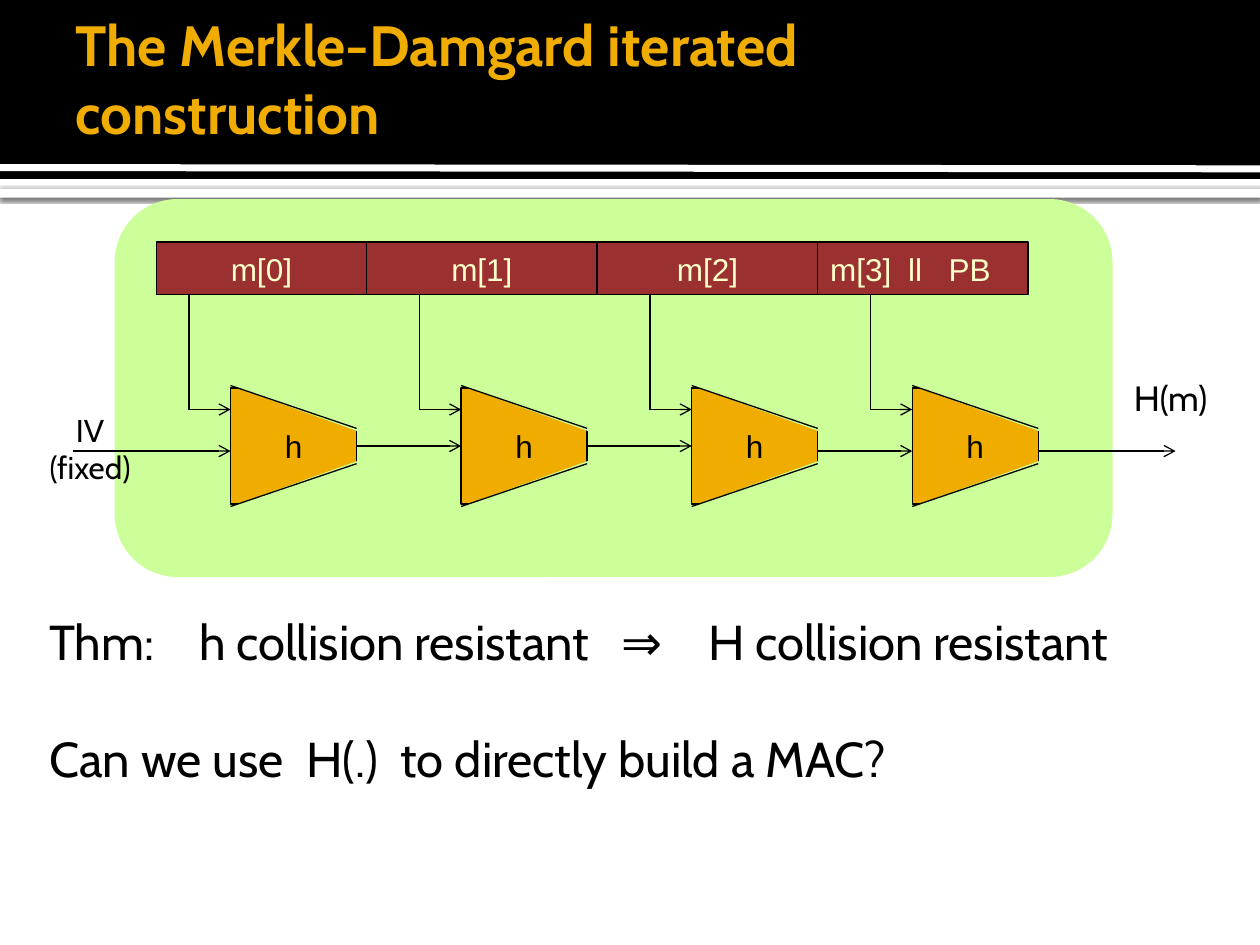
import pptx
import pptx.dml.color
import pptx.enum.shapes
import pptx.enum.text
import pptx.oxml
import pptx.oxml.ns
import pptx.util

Inches = pptx.util.Inches
Pt = pptx.util.Pt
RGBColor = pptx.dml.color.RGBColor
SHAPE = pptx.enum.shapes.MSO_SHAPE
ANCHOR = pptx.enum.text.MSO_ANCHOR
ALIGN = pptx.enum.text.PP_ALIGN
qn = pptx.oxml.ns.qn

BLACK = RGBColor(0x00, 0x00, 0x00)
WHITE = RGBColor(0xFF, 0xFF, 0xFF)
GOLD = RGBColor(0xF0, 0xAD, 0x00)
GREEN = RGBColor(0xCC, 0xFF, 0x99)
RED = RGBColor(0x9A, 0x31, 0x30)
CREAM = RGBColor(0xFF, 0xFF, 0xCC)
RIGHT, LEFT = 3, 1


def write_text(tf, text, size=18, font="Cabin", color=BLACK, bold=False,
               align=ALIGN.LEFT, anchor=ANCHOR.TOP, wrap=False,
               insets=(0.1, 0.05, 0.1, 0.05), gap=0, tabs=()):
    tf.word_wrap = wrap
    tf.vertical_anchor = anchor
    (tf.margin_left, tf.margin_top,
     tf.margin_right, tf.margin_bottom) = [Inches(v) for v in insets]
    for i, line in enumerate(text.split("\n")):
        p = tf.add_paragraph() if i else tf.paragraphs[0]
        p.alignment = align
        if i and gap:
            p.space_before = Pt(gap)
        if i < len(tabs):
            pPr = p._p.get_or_add_pPr()
            stops = pptx.oxml.parse_xml(
                '<a:tabLst xmlns:a="http://schemas.openxmlformats.org/drawingml/2006/main"/>')
            for pos in tabs[i]:
                stop = stops.makeelement(qn("a:tab"), {"pos": str(Inches(pos)), "algn": "l"})
                stops.append(stop)
            pPr.append(stops)
        r = p.add_run()
        r.text = line
        r.font.size = Pt(size)
        r.font.name = font
        r.font.bold = bold
        r.font.color.rgb = color


class Diagram:
    line_color = BLACK
    line_width = 0.75

    def __init__(self, slide):
        self.s = slide

    def shape(self, kind, x, y, w, h, fill, outline=False):
        sp = self.s.shapes.add_shape(kind, Inches(x), Inches(y), Inches(w), Inches(h))
        sp.shadow.inherit = False
        sp.fill.solid()
        sp.fill.fore_color.rgb = fill
        if outline:
            sp.line.color.rgb = self.line_color
            sp.line.width = Pt(self.line_width)
        else:
            sp.line.fill.background()
        return sp

    def box(self, x, y, w, h, fill, text, **fmt):
        sp = self.shape(SHAPE.RECTANGLE, x, y, w, h, fill, outline=True)
        style = dict(font="Arial", align=ALIGN.CENTER, anchor=ANCHOR.MIDDLE)
        write_text(sp.text_frame, text, **{**style, **fmt})
        return sp

    def text(self, x, y, w, h, text, **fmt):
        sp = self.s.shapes.add_textbox(Inches(x), Inches(y), Inches(w), Inches(h))
        write_text(sp.text_frame, text, **fmt)

    def line(self, x1, y1, x2, y2, arrow=False, color=None, width=None):
        cx = self.s.shapes.add_connector(pptx.enum.shapes.MSO_CONNECTOR.STRAIGHT,
                                         Inches(x1), Inches(y1), Inches(x2), Inches(y2))
        cx.line.color.rgb = color or self.line_color
        cx.line.width = Pt(width or self.line_width)
        spPr = cx._element.spPr
        if arrow:
            ln = spPr.find(qn("a:ln"))
            ln.append(ln.makeelement(qn("a:tailEnd"), {"type": "arrow"}))
        spPr.append(spPr.makeelement(qn("a:effectLst"), {}))
        return cx

    def corner_cover(self, x, top):
        y = 3.06 if top else 3.6
        sp = self.shape(SHAPE.RIGHT_TRIANGLE, x, y, 1.17, 0.42, GREEN)
        if top:
            sp.rotation = 180
            self.line(x, 3.06, x + 1, 3.4)
        else:
            sp._element.spPr.find(qn("a:xfrm")).set("flipH", "1")
            self.line(x, 4.02, x + 1, 3.68)

    def drop_shadow(self, sp):
        effects = sp._element.spPr.find(qn("a:effectLst"))
        effects.append(pptx.oxml.parse_xml(
            '<a:outerShdw xmlns:a="http://schemas.openxmlformats.org/drawingml/2006/main" '
            f'blurRad="{Pt(2.5)}" dist="{Pt(0.8)}" dir="5400000" rotWithShape="0">'
            '<a:srgbClr val="000000"><a:alpha val="60000"/></a:srgbClr></a:outerShdw>'))


def main():
    prs = pptx.Presentation()
    prs.slide_width, prs.slide_height = Inches(10), Inches(7.5)
    d = Diagram(prs.slides.add_slide(prs.slide_layouts[6]))

    d.drop_shadow(d.shape(SHAPE.RECTANGLE, 0, 1.5, 10, 0.07, WHITE))
    d.shape(SHAPE.RECTANGLE, 0, 0, 10, 1.42, BLACK)
    d.line(0, 1.33, 10, 1.34, color=WHITE, width=4)
    d.text(0.5, 0.08, 8.25, 1.08, "The Merkle-Damgard iterated construction",
           size=32.4, color=GOLD, bold=True, anchor=ANCHOR.MIDDLE, wrap=True,
           insets=(0.1, 0.05, 0.05, 0.05))
    d.text(0.33, 4.75, 8.92, 2,
           "Thm:\th collision resistant\t⇒\tH collision resistant\n"
           "Can we use\tH(.)\tto directly build a MAC?",
           size=28, wrap=True, insets=(0.06, 0.1, 0.1, 0.05), gap=33.5,
           tabs=[(1.19, 4.54, 5.23), (2.04, 2.79)])

    d.shape(SHAPE.ROUNDED_RECTANGLE, 0.91, 1.58, 7.92, 3, GREEN)

    x = 1.24
    for label, width in (("m[0]", 1.67), ("m[1]", 1.83), ("m[2]", 1.75)):
        d.box(x, 1.92, width, 0.42, RED, label, color=CREAM)
        x += width
    d.box(x, 1.92, 1.67, 0.42, RED, "m[3]\tll\tPB", color=CREAM,
          align=ALIGN.LEFT, wrap=True, tabs=[(0.62, 0.94)])

    stages = (1.83, 3.66, 5.49, 7.24)
    hashes = [d.box(x, 3.08, 1, 0.92, GOLD, "h") for x in stages]
    for x in stages:
        d.line(x - 0.33, 2.33, x - 0.33, 3.25)
        d.line(x - 0.33, 3.25, x, 3.25, arrow=True)

    for i in range(2):
        link = d.line(stages[i] + 1, 3.54, stages[i + 1], 3.54, arrow=True)
        link.begin_connect(hashes[i], RIGHT)
        link.end_connect(hashes[i + 1], LEFT)
    for start, end in ((0.58, 1.83), (6.49, 7.24), (8.24, 9.33)):
        d.line(start, 3.58, end, 3.58, arrow=True)

    d.text(0.28, 3.21, 0.87, 0.71, "IV\n(fixed)", align=ALIGN.CENTER)
    d.text(8.9, 2.94, 0.9, 0.44, "H(m)", size=20)

    for x in stages:
        d.corner_cover(x, top=True)
        d.corner_cover(x, top=False)

    prs.save("out.pptx")


if __name__ == "__main__":
    main()
